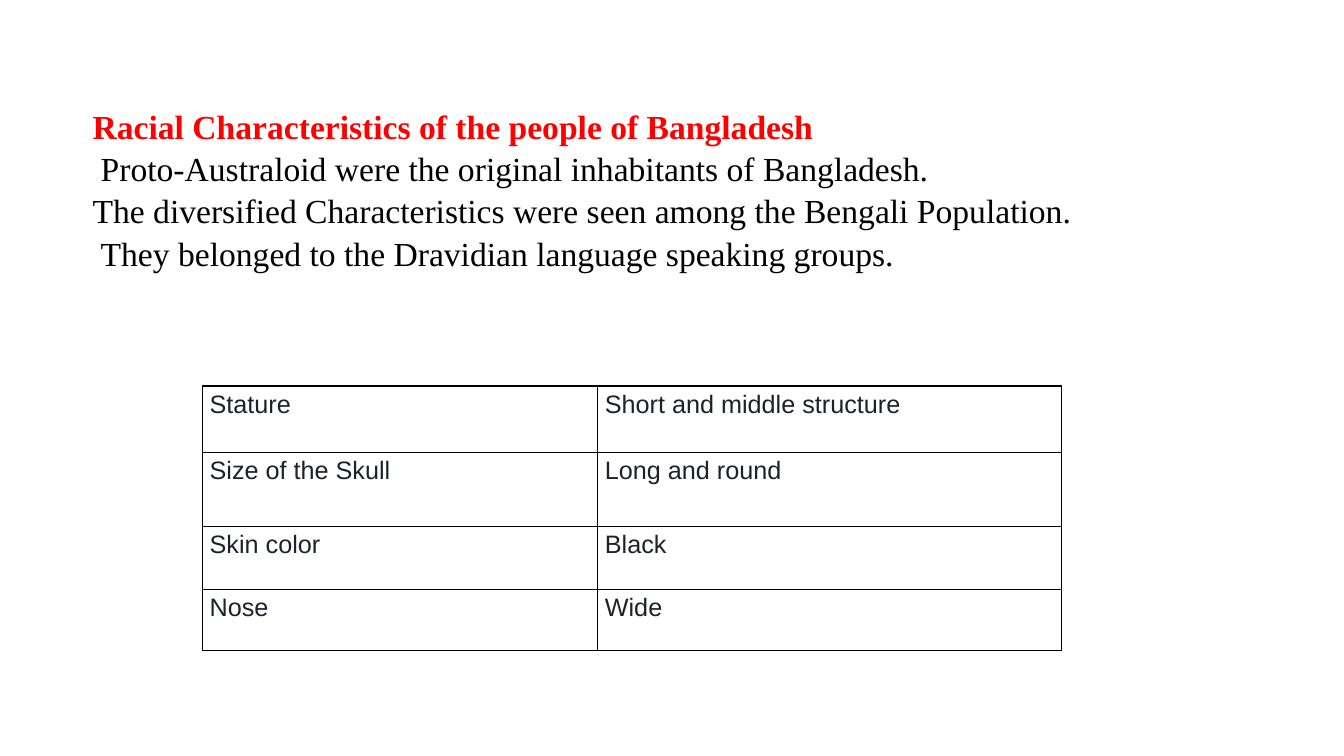
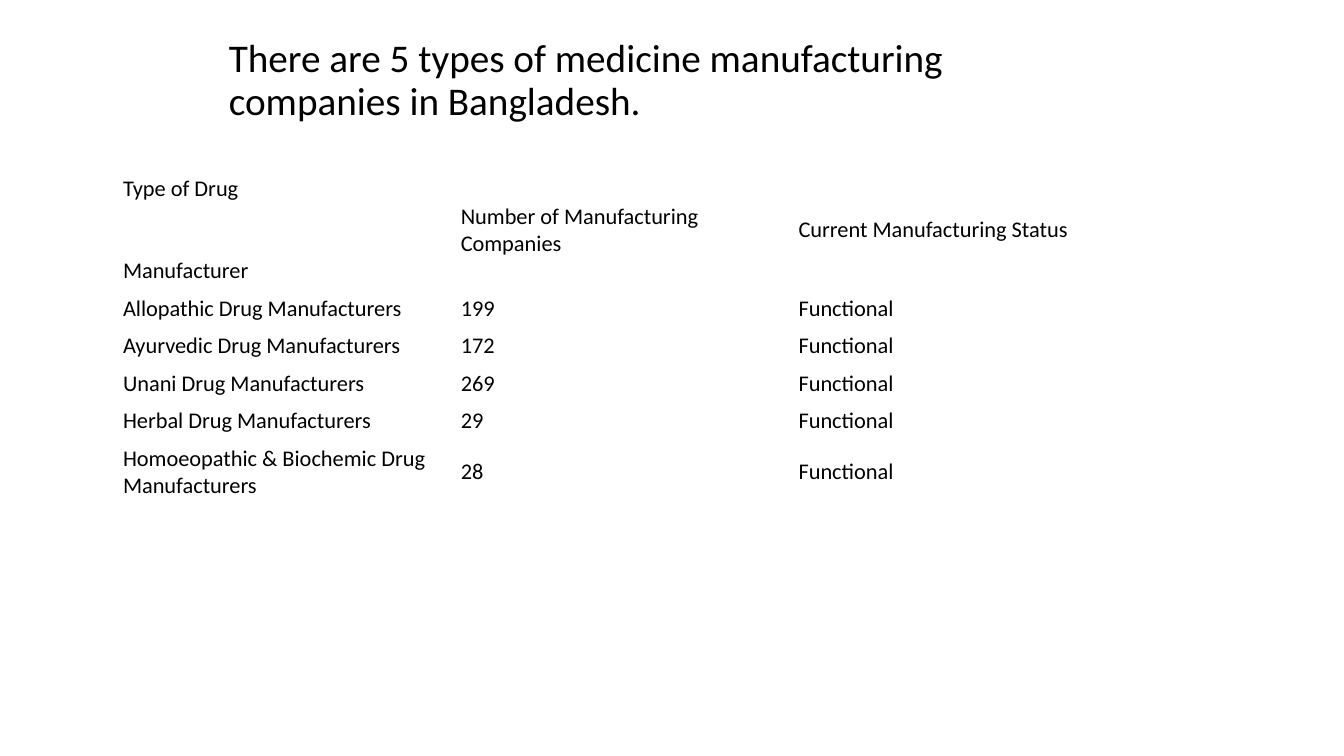
from lxml import etree
from pptx import Presentation
from pptx.dml.color import RGBColor
from pptx.enum.text import MSO_ANCHOR, MSO_AUTO_SIZE, PP_ALIGN
from pptx.oxml.ns import qn
from pptx.util import Inches, Pt

TOP, MIDDLE = MSO_ANCHOR.TOP, MSO_ANCHOR.MIDDLE
LEFT = PP_ALIGN.LEFT
NO_FIT = MSO_AUTO_SIZE.NONE
TITLE_ONLY, BLANK = 5, 6

BLACK = RGBColor(0x00, 0x00, 0x00)
RED = RGBColor(0xFF, 0x00, 0x00)
INK = RGBColor(0x1D, 0x21, 0x29)

HEADING = "Racial Characteristics of the people of Bangladesh"
STATEMENTS = [
    ("Proto-Australoid were the original inhabitants of Bangladesh.", 0.08),
    ("The diversified Characteristics were seen among the Bengali Population.", 0),
    ("They belonged to the Dravidian language speaking groups.", 0.08),
]
TRAITS = [
    ("Stature", "Short and middle structure"),
    ("Size of the Skull", "Long and round"),
    ("Skin color", "Black"),
    ("Nose", "Wide"),
]
DRUG_TITLE = "There are 5 types of medicine manufacturing companies in Bangladesh."
DRUG_HEADER = ("Type of Drug\nManufacturer", "Number of Manufacturing Companies",
               "Current Manufacturing Status")
DRUG_COUNTS = [
    ("Allopathic Drug Manufacturers", 199),
    ("Ayurvedic Drug Manufacturers", 172),
    ("Unani Drug Manufacturers", 269),
    ("Herbal Drug Manufacturers", 29),
    ("Homoeopathic & Biochemic Drug Manufacturers", 28),
]


def style(p, font, size, color, bold=False, spacing=1.0):
    p.alignment = LEFT
    p.line_spacing = spacing
    p.font.name = font
    p.font.size = Pt(size)
    p.font.color.rgb = color
    p.font.bold = bold


def add_borders(cell, color, width):
    tc_pr = cell._tc.get_or_add_tcPr()
    for i, side in enumerate(("lnL", "lnR", "lnT", "lnB")):
        ln = etree.Element(qn("a:" + side), w=str(Pt(width)))
        fill = etree.SubElement(ln, qn("a:solidFill"))
        etree.SubElement(fill, qn("a:srgbClr"), val=str(color))
        tc_pr.insert(i, ln)


def add_plain_table(slide, left, top, widths, heights, rows, anchor,
                    font, size, color, spacing=1.0):
    frame = slide.shapes.add_table(
        len(heights), len(widths), Inches(left), Inches(top),
        Inches(sum(widths)), Inches(sum(heights)))
    table = frame.table
    table.first_row = False
    table.horz_banding = False
    for column, width in zip(table.columns, widths):
        column.width = Inches(width)
    for row, height, values in zip(table.rows, heights, rows):
        row.height = Inches(height)
        for cell, value in zip(row.cells, values):
            cell.text = str(value)
            cell.vertical_anchor = anchor
            cell.fill.background()
            for p in cell.text_frame.paragraphs:
                style(p, font, size, color, spacing=spacing)
    return table


def add_statements(slide, left, top, width, height):
    box = slide.shapes.add_textbox(
        Inches(left), Inches(top), Inches(width), Inches(height))
    tf = box.text_frame
    tf.word_wrap = True
    tf.vertical_anchor = TOP
    tf.margin_top = Inches(0.08)
    tf.margin_bottom = 0
    p = tf.paragraphs[0]
    p.text = HEADING
    style(p, "Times New Roman", 24, RED, bold=True, spacing=1.05)
    for text, indent in STATEMENTS:
        p = tf.add_paragraph()
        p.text = text
        p._p.get_or_add_pPr().set("marL", str(Inches(indent)))
        style(p, "Times New Roman", 24, BLACK, spacing=1.05)


def add_title(slide, text, left, top, width, height):
    title = slide.shapes.title
    title.left, title.top = Inches(left), Inches(top)
    title.width, title.height = Inches(width), Inches(height)
    tf = title.text_frame
    tf.text = text
    tf.word_wrap = True
    tf.auto_size = NO_FIT
    tf.vertical_anchor = MIDDLE
    style(tf.paragraphs[0], "Calibri", 28, BLACK, spacing=0.9)


def build_traits_slide(prs):
    slide = prs.slides.add_slide(prs.slide_layouts[BLANK])
    table = add_plain_table(
        slide, 2.01, 3.83, [3.92, 4.6], [0.66, 0.73, 0.63, 0.6],
        TRAITS, TOP, "Arial", 18, INK, spacing=1.15)
    for cell in table.iter_cells():
        cell.margin_left = cell.margin_right = Inches(0.07)
        cell.margin_top = cell.margin_bottom = 0
        add_borders(cell, BLACK, 1)
    add_statements(slide, 0.82, 0.95, 11.42, 2.07)


def build_drug_slide(prs):
    slide = prs.slides.add_slide(prs.slide_layouts[TITLE_ONLY])
    add_title(slide, DRUG_TITLE, 2.17, 0.18, 9, 1.25)
    rows = [DRUG_HEADER] + [(kind, count, "Functional") for kind, count in DRUG_COUNTS]
    table = add_plain_table(
        slide, 1.12, 1.69, [3.35] * 3, [1.18] + [0.37] * 4 + [0.64],
        rows, MIDDLE, "Calibri", 16, BLACK)
    table.cell(0, 0).text_frame.paragraphs[1].space_before = Pt(39)


def main():
    prs = Presentation()
    prs.slide_width, prs.slide_height = Inches(13.33), Inches(7.5)
    build_traits_slide(prs)
    build_drug_slide(prs)
    prs.save("out.pptx")


if __name__ == "__main__":
    main()
